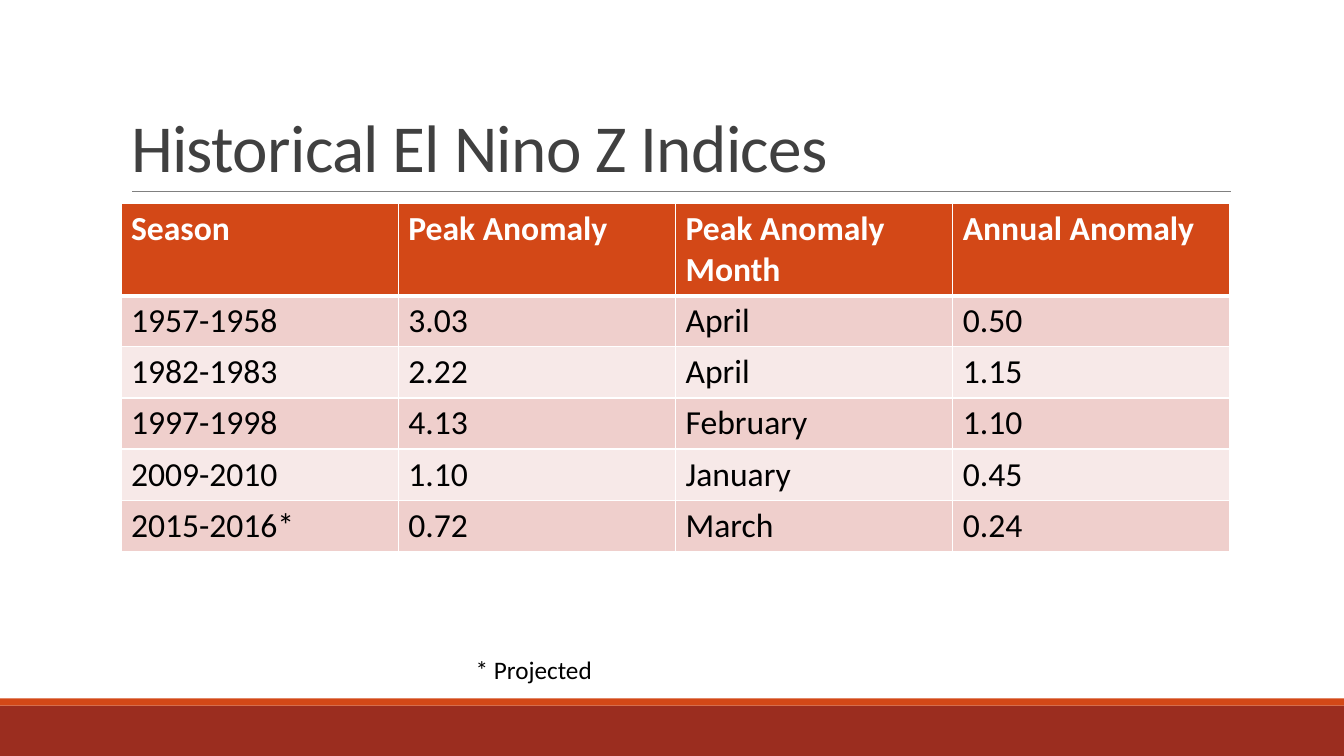
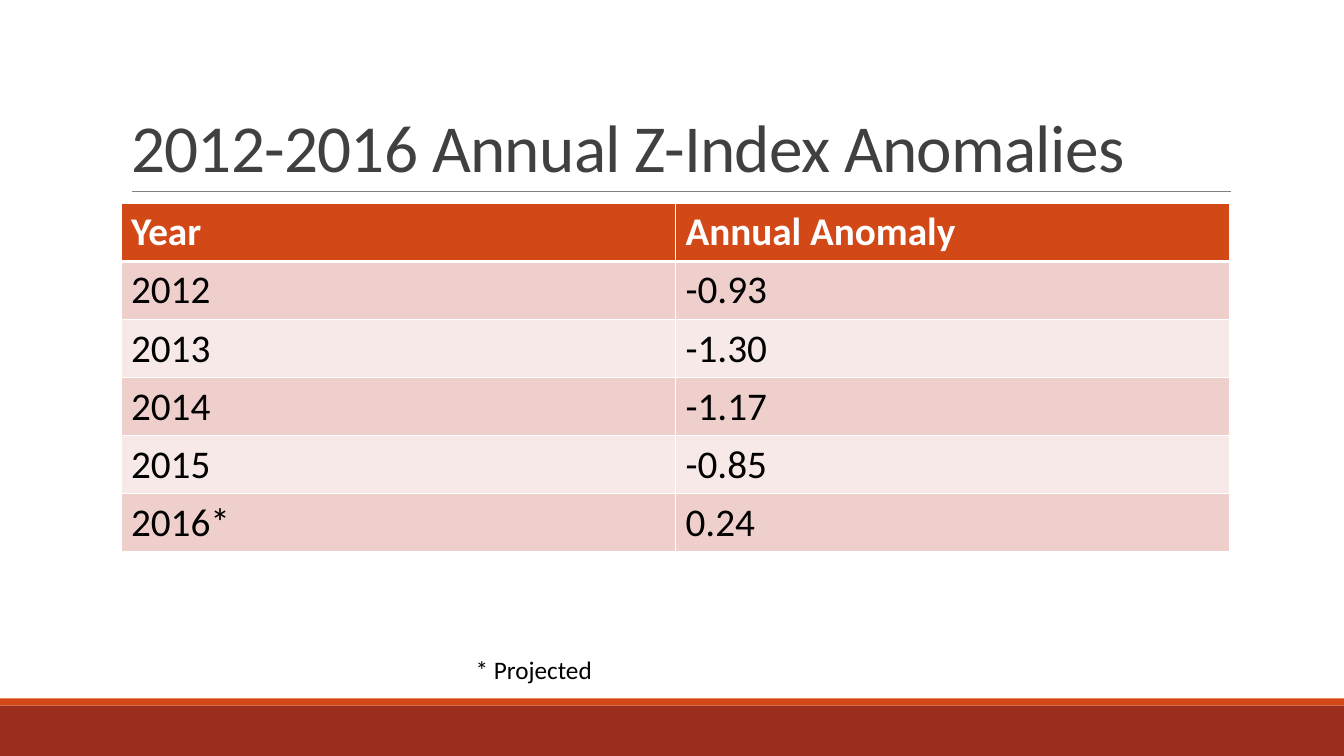
import pptx
import pptx.dml.color
import pptx.enum.shapes
import pptx.enum.text
import pptx.oxml
import pptx.oxml.ns
import pptx.util

# Slide geometry in inches
SLIDE_WIDTH, SLIDE_HEIGHT = 13.33, 7.5
CONTENT_LEFT, CONTENT_WIDTH = 1.2, 11
TITLE_TOP, RULE_TOP = 0.31, 1.9
RULE_LEFT, RULE_RIGHT = 1.31, 12.21
TABLE_TOP, ROW_HEIGHT = 2.02, 0.41
STRIPE_TOP, BAND_TOP = 6.93, 7

# Shared look
FONT = "Calibri"
WHITE, BLACK, TITLE_GREY, RULE_GREY = "FFFFFF", "000000", "404040", "808080"
ORANGE, BRICK = "D34817", "9B2D1F"
ROW_FILLS = ("EFCFCC", "F7E9E8")

HISTORICAL_ROWS = [
    ("Season", "Peak Anomaly", "Peak Anomaly Month", "Annual Anomaly"),
    ("1957-1958", "3.03", "April", "0.50"),
    ("1982-1983", "2.22", "April", "1.15"),
    ("1997-1998", "4.13", "February", "1.10"),
    ("2009-2010", "1.10", "January", "0.45"),
    ("2015-2016*", "0.72", "March", "0.24"),
]
ANNUAL_ROWS = [
    ("Year", "Annual Anomaly"),
    ("2012", "-0.93"),
    ("2013", "-1.30"),
    ("2014", "-1.17"),
    ("2015", "-0.85"),
    ("2016*", "0.24"),
]


def inches(*lengths):
    return [pptx.util.Inches(length) for length in lengths]


def paint(color_owner, color):
    """Give a fill a solid colour."""
    color_owner.solid()
    color_owner.fore_color.rgb = pptx.dml.color.RGBColor.from_string(color)


def write_text(text_frame, text, size, color=BLACK, bold=False,
               line_spacing=None, letter_spacing=None):
    paragraph = text_frame.paragraphs[0]
    paragraph.alignment = pptx.enum.text.PP_ALIGN.LEFT
    if line_spacing:
        paragraph.line_spacing = line_spacing
    run = paragraph.add_run()
    run.text = text
    run.font.name = FONT
    run.font.size = pptx.util.Pt(size)
    run.font.bold = bold
    paint(run.font.fill, color)
    if letter_spacing:
        run.font._element.set("spc", str(round(letter_spacing * 100)))


def add_band(slide, top, bottom, color):
    band = slide.shapes.add_shape(
        pptx.enum.shapes.MSO_SHAPE.RECTANGLE,
        *inches(0, top, SLIDE_WIDTH, bottom - top))
    band.shadow.inherit = False
    paint(band.fill, color)
    band.line.fill.background()


def add_title_rule(slide):
    rule = slide.shapes.add_connector(
        pptx.enum.shapes.MSO_CONNECTOR.STRAIGHT,
        *inches(RULE_LEFT, RULE_TOP, RULE_RIGHT, RULE_TOP))
    paint(rule.line.fill, RULE_GREY)
    rule.line.width = pptx.util.Pt(0.5)
    properties = rule._element.spPr
    properties.append(properties.makeelement(pptx.oxml.ns.qn("a:effectLst")))


def set_title(slide, text):
    title = slide.shapes.title
    title.left, title.top, title.width, title.height = inches(
        CONTENT_LEFT, TITLE_TOP, CONTENT_WIDTH, RULE_TOP - TITLE_TOP)
    frame = title.text_frame
    frame.auto_size = pptx.enum.text.MSO_AUTO_SIZE.NONE
    frame.vertical_anchor = pptx.enum.text.MSO_ANCHOR.BOTTOM
    write_text(frame, text, 48, TITLE_GREY,
               line_spacing=0.85, letter_spacing=-0.5)


def set_borders(cell, **widths):
    """Draw white cell borders; widths are in points, keyed L, R, T, B."""
    properties = cell._tc.get_or_add_tcPr()
    for position, (side, width) in enumerate(widths.items()):
        border = pptx.oxml.parse_xml(
            f'<a:ln{side} {pptx.oxml.ns.nsdecls("a")} w="{pptx.util.Pt(width)}">'
            f'<a:solidFill><a:srgbClr val="{WHITE}"/></a:solidFill></a:ln{side}>')
        properties.insert(position, border)


def add_data_table(slide, rows, size):
    row_count, column_count = len(rows), len(rows[0])
    table = slide.shapes.add_table(
        row_count, column_count,
        *inches(CONTENT_LEFT, TABLE_TOP, CONTENT_WIDTH,
                ROW_HEIGHT * row_count)).table
    for row_index, values in enumerate(rows):
        header = row_index == 0
        fill = ORANGE if header else ROW_FILLS[(row_index - 1) % 2]
        for column_index, value in enumerate(values):
            cell = table.cell(row_index, column_index)
            paint(cell.fill, fill)
            write_text(cell.text_frame, value, size,
                       WHITE if header else BLACK, bold=header)
            # The heavy rule below the header belongs to both rows it parts
            set_borders(cell, L=1, R=1, T=3 if row_index == 1 else 1,
                        B=3 if header else 1)


def add_footnote(slide, text):
    frame = slide.shapes.add_textbox(*inches(4.62, 6.44, 1.37, 0.4)).text_frame
    frame.word_wrap = False
    frame.auto_size = pptx.enum.text.MSO_AUTO_SIZE.SHAPE_TO_FIT_TEXT
    write_text(frame, text, 18)


def add_table_slide(presentation, title, rows, size):
    slide = presentation.slides.add_slide(
        presentation.slide_layouts.get_by_name("Title Only"))
    add_band(slide, BAND_TOP, SLIDE_HEIGHT, BRICK)
    add_band(slide, STRIPE_TOP, BAND_TOP, ORANGE)
    add_title_rule(slide)
    set_title(slide, title)
    add_data_table(slide, rows, size)
    add_footnote(slide, "* Projected")


def main():
    presentation = pptx.Presentation()
    presentation.slide_width, presentation.slide_height = inches(
        SLIDE_WIDTH, SLIDE_HEIGHT)
    add_table_slide(presentation, "Historical El Nino Z Indices",
                    HISTORICAL_ROWS, 24)
    add_table_slide(presentation, "2012-2016 Annual Z-Index Anomalies",
                    ANNUAL_ROWS, 28)
    presentation.save("out.pptx")


if __name__ == "__main__":
    main()
